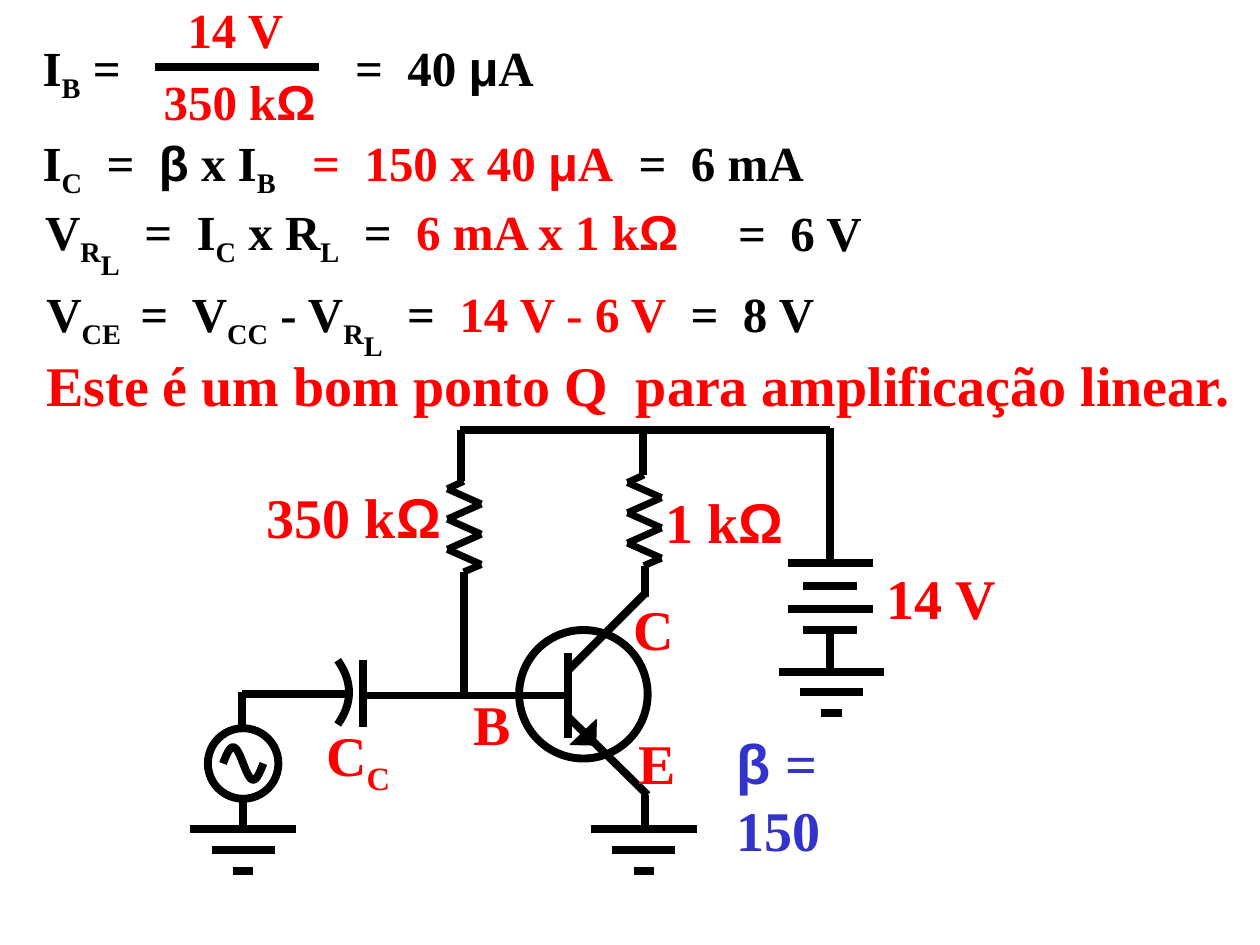
from math import pi, sin

from lxml import etree
from pptx import Presentation
from pptx.dml.color import RGBColor
from pptx.enum.shapes import MSO_CONNECTOR, MSO_SHAPE
from pptx.enum.text import MSO_AUTO_SIZE
from pptx.oxml.ns import qn
from pptx.util import Inches, Pt

LINE = MSO_CONNECTOR.STRAIGHT
OVAL = MSO_SHAPE.OVAL
WEDGE = MSO_SHAPE.RIGHT_TRIANGLE
GROW = MSO_AUTO_SIZE.SHAPE_TO_FIT_TEXT

HEX = {"black": "000000", "red": "FF0000", "blue": "3333CC"}
COLOR = {name: RGBColor.from_string(code) for name, code in HEX.items()}

prs = Presentation()
prs.slide_width, prs.slide_height = Inches(10), Inches(7.5)
slide = prs.slides.add_slide(prs.slide_layouts[6])
shapes = slide.shapes


def wire(x1, y1, x2, y2, width=4.5):
    line = shapes.add_connector(LINE, Inches(x1), Inches(y1), Inches(x2), Inches(y2))
    line.line.color.rgb = COLOR["black"]
    line.line.width = Pt(width)
    etree.SubElement(line._element.spPr, qn("a:effectLst"))


def write(x, y, w, size, color, *runs):
    """Add a bold line; a run is a text or (text, baseline percent, colour)."""
    box = shapes.add_textbox(Inches(x), Inches(y), Inches(w), Inches(size / 55))
    frame = box.text_frame
    frame.word_wrap = False
    frame.auto_size = GROW
    para = frame.paragraphs[0]
    para.font.size = Pt(size)
    para.font.bold = True
    for item in runs:
        text, base, tint = item if isinstance(item, tuple) else (item, 0, color)
        run = para.add_run()
        run.text = text
        run.font.name = "Arial" if text in "Ωβμ" else "Times New Roman"
        run.font.color.rgb = COLOR[tint or color]
        if base:
            run._r.get_or_add_rPr().set("baseline", str(base * 1000))
    return box


# Transistor and signal source circles
for x, y, size in [(4.12, 5, 1.02), (1.65, 5.78, 0.56)]:
    ring = shapes.add_shape(OVAL, Inches(x), Inches(y), Inches(size), Inches(size))
    ring.shadow.inherit = False
    ring.fill.background()
    ring.line.color.rgb = COLOR["black"]
    ring.line.width = Pt(4.5)

# Emitter arrow
tip = shapes.add_shape(WEDGE, Inches(4.53), Inches(5.71), Inches(0.2), Inches(0.2))
tip.rotation = 271.3
tip.shadow.inherit = False
tip.fill.solid()
tip.fill.fore_color.rgb = COLOR["black"]
tip.line.color.rgb = COLOR["black"]
tip.line.width = Pt(0.75)

# Curved capacitor plate and sine wave
steps = [i / 24 for i in range(25)]
plate = [(2.68 + 0.36 * t * (1 - t), 5.24 + 0.51 * t) for t in steps]
wave = [(1.77 + 0.32 * t, 6.06 - 0.13 * sin(2 * pi * t)) for t in steps]
for curve in (plate, wave):
    dots = [(Inches(x), Inches(y)) for x, y in curve]
    build = shapes.build_freeform(*dots[0])
    build.add_line_segments(dots[1:], close=False)
    path = build.convert_to_shape()
    path.shadow.inherit = False
    path.fill.background()
    path.line.color.rgb = COLOR["black"]
    path.line.width = Pt(4.5)

# Resistors
zigzag = [(0.13, 0), (0, 0.06), (0.27, 0.18), (0, 0.3), (0.27, 0.42),
          (0, 0.54), (0.27, 0.66), (0.13, 0.72)]
for left, top in [(4.98, 3.77), (3.55, 3.82)]:
    for (x1, y1), (x2, y2) in zip(zigzag, zigzag[1:]):
        wire(left + x1, top + y1, left + x2, top + y2, 4)

# Battery
for y, half in [(4.47, 0.34), (4.65, 0.215), (4.83, 0.34), (5, 0.215)]:
    wire(6.59 - half, y, 6.59 + half, y)

# Grounds
for mid, top in [(5.11, 6.58), (6.6, 5.33), (1.93, 6.58)]:
    for i, half in enumerate([0.42, 0.25, 0.08]):
        y = top + i * 0.165
        wire(mid - half, y, mid + half, y)

# Wires, transistor leads, straight capacitor plate and fraction bar
for ends in [
    (4.52, 5.7, 5.14, 6.31), (4.5, 5.52, 2.9, 5.52), (4.51, 5.32, 5.13, 4.7),
    (4.51, 5.18, 4.51, 5.86), (2.88, 5.24, 2.88, 5.77), (3.68, 4.54, 3.68, 5.51),
    (5.12, 4.49, 5.12, 4.74), (5.12, 6.31, 5.12, 6.56), (3.65, 3.41, 6.59, 3.41),
    (6.59, 3.4, 6.59, 4.45), (3.66, 3.41, 3.66, 3.82), (5.1, 3.77, 5.1, 3.39),
    (2.75, 5.51, 1.92, 5.51), (1.92, 5.49, 1.92, 5.76), (1.93, 6.34, 1.93, 6.61),
    (6.59, 5.32, 6.59, 5), (1.23, 0.53, 2.53, 0.53),
]:
    wire(*ends)

# Circuit labels
sub_b, sub_c, sub_l = [(letter, -25, None) for letter in "BCL"]
sub_r, low_l = ("R", -25, None), ("L", -50, None)
write(2.02, 3.78, 1.59, 32, "red", "350 k", "Ω")
write(2.49, 5.67, 0.74, 32, "red", "C", sub_c)
write(4.97, 5.73, 0.5, 32, "red", "E")
write(3.66, 5.42, 0.5, 32, "red", "B")
write(4.93, 4.67, 0.52, 32, "red", "C")
write(5.18, 3.82, 1.15, 32, "red", "1 k", "Ω")
write(6.94, 4.42, 1.08, 32, "red", "14 V")
gain = write(5.75, 5.73, 1.55, 32, "blue", "β", " = 150")
gain.text_frame.word_wrap = True

# Equations
write(0.24, 0.25, 0.84, 28, "black", "I", sub_b, " =")
write(1.39, -0.05, 0.97, 28, "red", "14 V")
write(1.2, 0.52, 1.42, 28, "red", "350 k", "Ω")
write(2.72, 0.25, 1.73, 28, "black", "=  40 ", "μ", "A")
write(0.24, 1, 2.1, 28, "black", "I", sub_c, "  =  ", "β", " x I", sub_b)
write(2.38, 1, 2.6, 28, "red", "=  150 x 40 ", "μ", "A")
write(4.97, 1, 1.51, 28, "black", "=  6 mA")
write(0.26, 1.55, 5.36, 28, "black", "V", sub_r, low_l, "  =  I", sub_c, " x R",
      sub_l, "  =  ", ("6 mA x 1 k", 0, "red"), ("Ω", 0, "red"))
write(5.76, 1.56, 1.19, 28, "black", "=  6 V")
write(0.27, 2.2, 6.5, 28, "black", "V", ("CE ", -25, None), " =  V",
      ("CC", -25, None), " - V", sub_r, low_l, "  =  ",
      ("14 V - 6 V", 0, "red"), "  =  8 V")
write(0.27, 2.73, 9.63, 32, "red", "Este é um bom ponto Q  para amplificação linear.")

prs.save("out.pptx")
